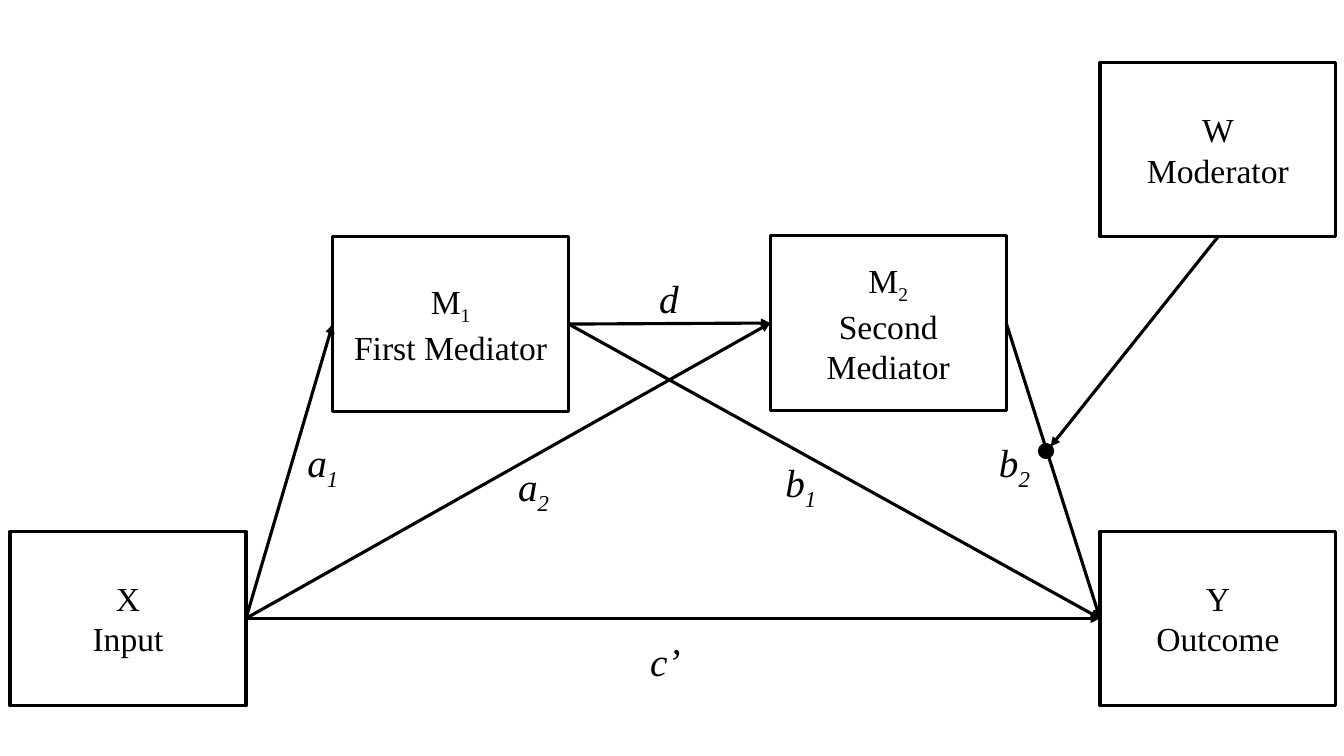
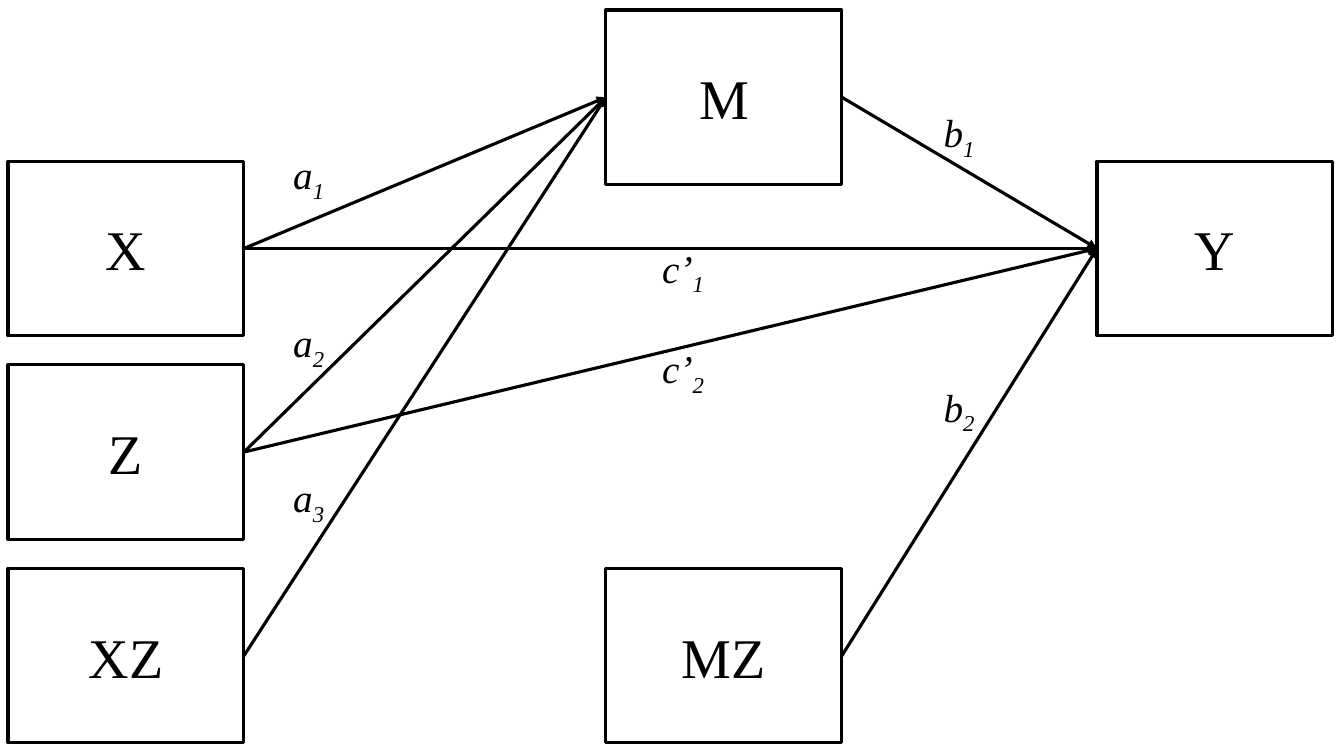
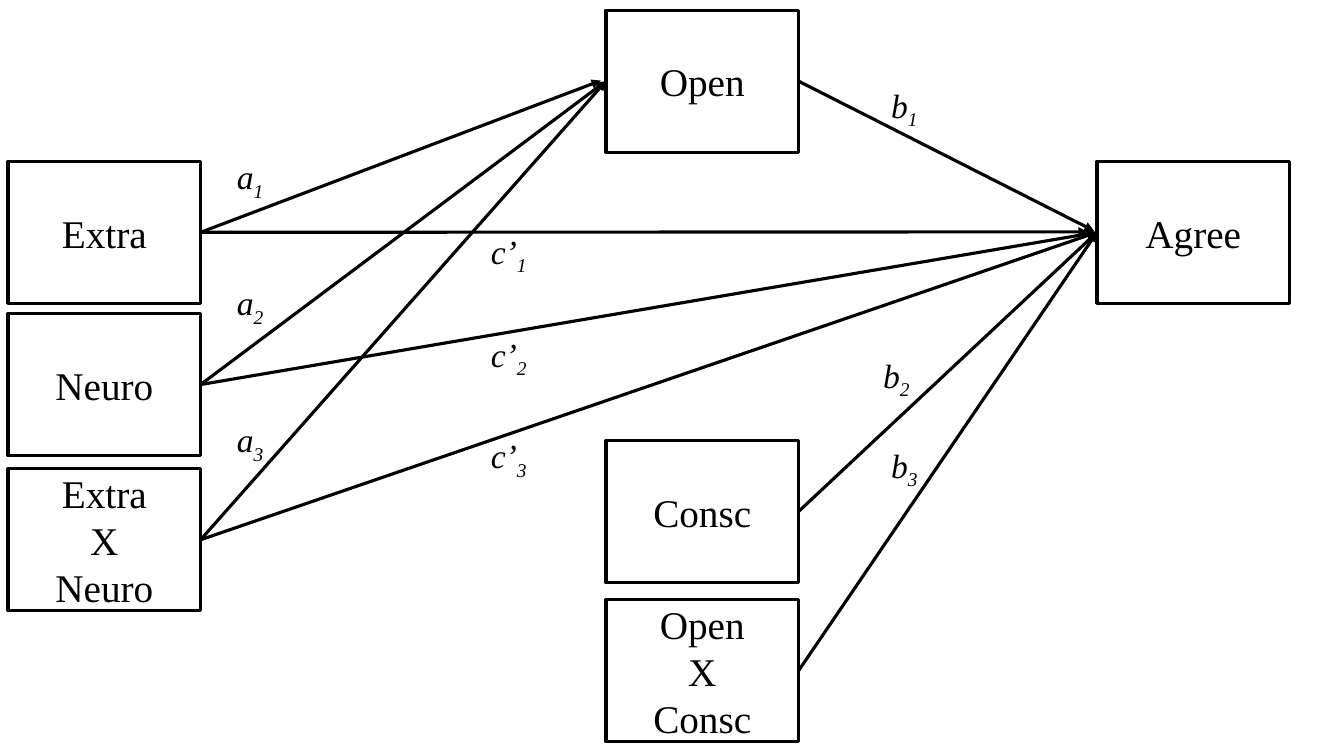
from lxml import etree
from pptx import Presentation
from pptx import util as u
from pptx.dml.color import RGBColor
from pptx.enum import shapes, text
from pptx.oxml.ns import qn

FONT = "Times New Roman"
INK = "000000"
PAPER = "FFFFFF"
LINE = 2.25
BOTTOM, LEFT, RIGHT = 2, 1, 3


def tint(hue):
    return RGBColor.from_string(hue)


def write(para, words, size, slant=False):
    base, _, sub = words.partition("_")
    for part, low in ((base, False), (sub, True)):
        if not part:
            continue
        run = para.add_run()
        run.text = part
        run.font.name = FONT
        run.font.size = u.Pt(size)
        run.font.italic = slant
        run.font.color.rgb = tint(INK)
        if low:
            run._r.get_or_add_rPr().set("baseline", "-25000")


def form(slide, kind, at, fill):
    shape = slide.shapes.add_shape(kind, *map(u.Inches, at))
    shape.shadow.inherit = False
    shape.fill.solid()
    shape.fill.fore_color.rgb = tint(fill)
    shape.line.color.rgb = tint(INK)
    shape.line.width = u.Pt(LINE)
    return shape


def box(slide, at, lines, size):
    shape = form(slide, shapes.MSO_SHAPE.RECTANGLE, at, PAPER)
    frame = shape.text_frame
    frame.word_wrap = True
    frame.vertical_anchor = text.MSO_ANCHOR.MIDDLE
    for i, line in enumerate(lines):
        para = frame.add_paragraph() if i else frame.paragraphs[0]
        para.alignment = text.PP_ALIGN.CENTER
        write(para, line, size)
    return shape


def boxes(slide, dims, size, items):
    return {name: box(slide, (x, y, *dims), lines, size)
            for name, x, y, lines in items}


def arrow(slide, start, end, site=RIGHT):
    stop = end if isinstance(end, tuple) else (0, 0)
    line = slide.shapes.add_connector(
        shapes.MSO_CONNECTOR.STRAIGHT, 0, 0, *map(u.Inches, stop))
    line.begin_connect(start, site)
    if not isinstance(end, tuple):
        line.end_connect(end, LEFT)
    line.line.color.rgb = tint(INK)
    line.line.width = u.Pt(LINE)
    tail = etree.SubElement(line.line._get_or_add_ln(), qn("a:tailEnd"))
    tail.set("type", "triangle")
    etree.SubElement(line._element.spPr, qn("a:effectLst"))


def arrows(slide, nodes, pairs):
    for start, end in pairs:
        arrow(slide, nodes[start], nodes.get(end, end))


def labels(slide, size, high, items):
    for words, x, y, wide in items:
        area = slide.shapes.add_textbox(*map(u.Inches, (x, y, wide, high)))
        frame = area.text_frame
        frame.word_wrap = True
        frame.auto_size = text.MSO_AUTO_SIZE.SHAPE_TO_FIT_TEXT
        write(frame.paragraphs[0], words, size, True)


def serial(slide):
    nodes = boxes(slide, (2.34, 1.73), 24, [
        ("M1", 3.3, 2.35, ["M_1", "First Mediator"]),
        ("M2", 7.64, 2.34, ["M_2", "Second Mediator"]),
        ("X", 0.1, 5.27, ["X", "Input"]),
        ("Y", 10.91, 5.27, ["Y", "Outcome"]),
        ("W", 10.91, 0.62, ["W", "Moderator"]),
    ])
    arrows(slide, nodes, [("X", "M1"), ("X", "M2"), ("X", "Y"),
                          ("M1", "M2"), ("M1", "Y"), ("M2", "Y")])
    form(slide, shapes.MSO_SHAPE.OVAL, (10.31, 4.41, 0.13, 0.13), INK)
    arrow(slide, nodes["W"], (10.42, 4.43), BOTTOM)
    labels(slide, 28, 0.57, [
        ("a_1", 2.95, 4.3, 0.63),
        ("a_2", 5.04, 4.54, 0.63),
        ("b_1", 7.69, 4.5, 0.65),
        ("b_2", 9.81, 4.3, 0.6),
        ("c’", 6.35, 6.27, 0.57),
        ("d", 6.44, 2.67, 0.6),
    ])


def product(slide):
    left, mid = 0.08, 6.01
    nodes = boxes(slide, (2.34, 1.73), 40, [
        (name, x, y, [name]) for name, x, y in (
            ("X", left, 1.6), ("Z", left, 3.62), ("XZ", left, 5.64),
            ("M", mid, 0.1), ("MZ", mid, 5.64), ("Y", 10.88, 1.6))
    ])
    arrows(slide, nodes, [("X", "M"), ("Z", "M"), ("XZ", "M"), ("X", "Y"),
                          ("Z", "Y"), ("M", "Y"), ("MZ", "Y")])
    labels(slide, 28, 0.57, [
        ("a_1", 2.81, 1.44, 0.56),
        ("a_2", 2.81, 3.11, 0.56),
        ("a_3", 2.81, 4.65, 0.56),
        ("b_1", 9.26, 1.03, 0.56),
        ("b_2", 9.26, 3.75, 0.56),
        ("c’_1", 6.47, 2.37, 0.7),
        ("c’_2", 6.47, 3.37, 0.7),
    ])


def traits(slide):
    left, mid = 0.08, 6.01
    nodes = boxes(slide, (1.91, 1.41), 28, [
        ("Extra", left, 1.6, ["Extra"]),
        ("Neuro", left, 3.11, ["Neuro"]),
        ("ExN", left, 4.65, ["Extra", "X", "Neuro"]),
        ("Open", mid, 0.1, ["Open"]),
        ("Consc", mid, 4.37, ["Consc"]),
        ("OxC", mid, 5.95, ["Open", "X", "Consc"]),
        ("Agree", 10.88, 1.6, ["Agree"]),
    ])
    arrows(slide, nodes, [
        ("Extra", (5.96, 0.8)), ("Neuro", "Open"), ("ExN", "Open"),
        ("Extra", (10.79, 2.3)), ("Neuro", "Agree"), ("ExN", "Agree"),
        ("Open", (10.85, 2.29)), ("Consc", "Agree"), ("OxC", "Agree"),
    ])
    labels(slide, 24, 0.5, [
        ("a_1", 2.25, 1.5, 0.59),
        ("a_2", 2.25, 2.75, 0.59),
        ("a_3", 2.25, 4.11, 0.59),
        ("b_1", 8.74, 0.79, 0.59),
        ("b_2", 8.66, 3.47, 0.66),
        ("b_3", 8.74, 4.36, 0.59),
        ("c’_1", 4.77, 2.24, 0.73),
        ("c’_2", 4.77, 3.26, 0.73),
        ("c’_3", 4.77, 4.27, 0.73),
    ])


def main():
    deck = Presentation()
    deck.slide_width = u.Inches(13.33)
    deck.slide_height = u.Inches(7.5)
    for draw in (serial, product, traits):
        draw(deck.slides.add_slide(deck.slide_layouts[6]))
    deck.save("out.pptx")


if __name__ == "__main__":
    main()
